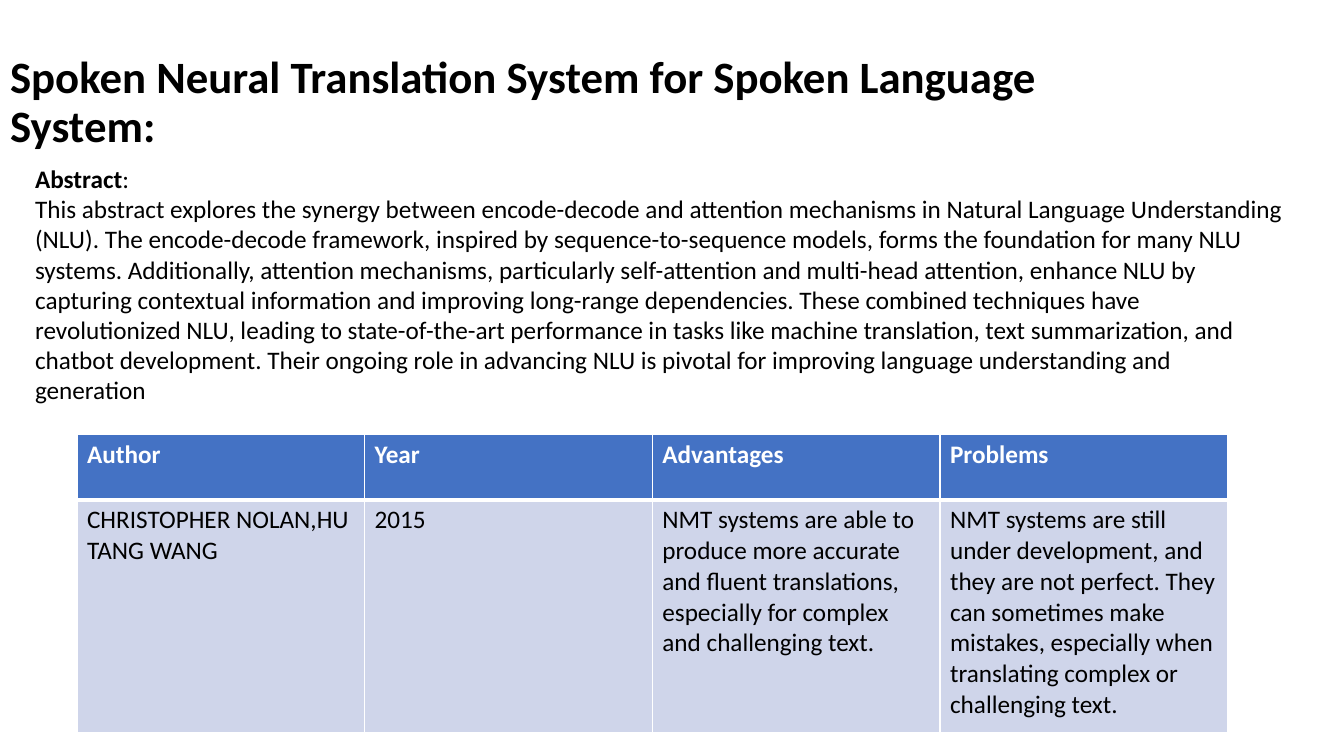
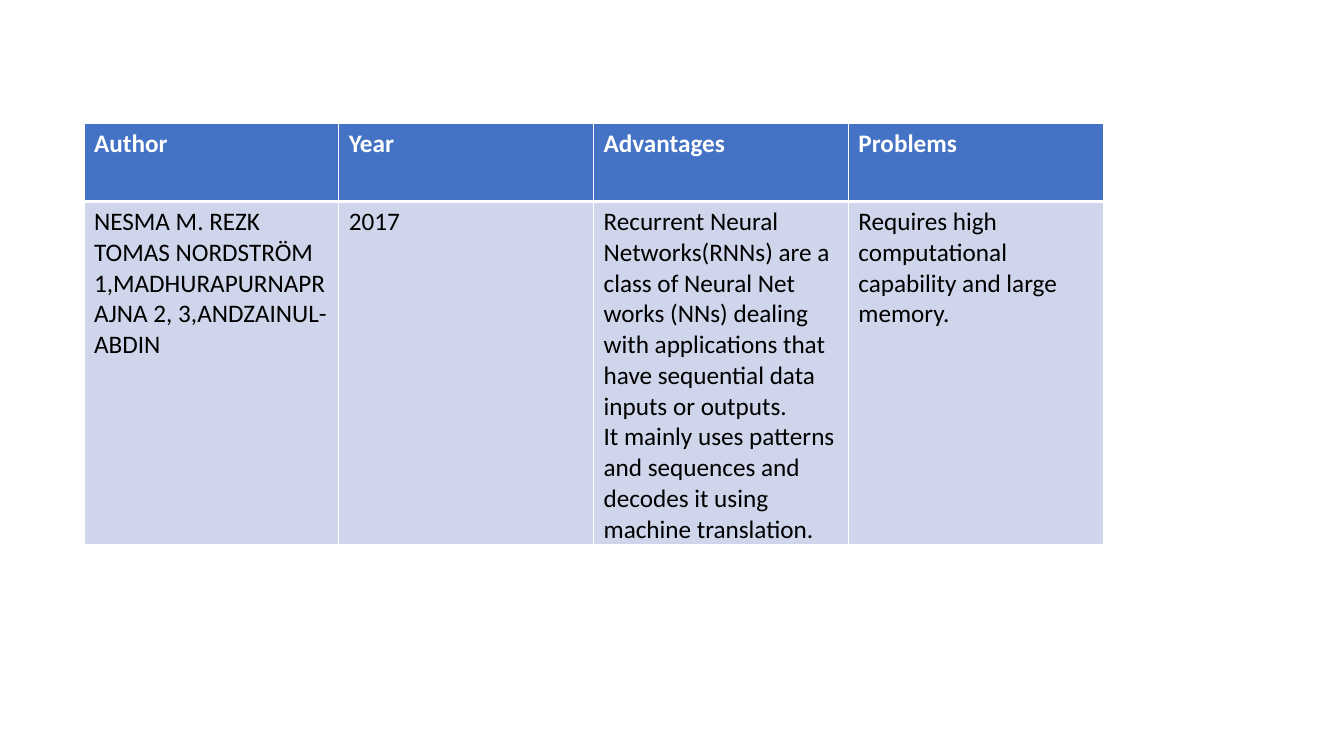
from dataclasses import dataclass

import pptx
import pptx.dml.color
import pptx.enum.text
import pptx.oxml
import pptx.oxml.ns
import pptx.util

Pt = pptx.util.Pt
TITLE_ONLY_LAYOUT, BLANK_LAYOUT = 5, 6


@dataclass(frozen=True)
class Theme:
    font: str = "Calibri"
    title_size: int = 32
    body_size: int = 18
    text: str = "000000"
    light: str = "FFFFFF"
    header_fill: str = "4472C4"
    body_fill: str = "CFD5EA"
    thin_border: int = 1
    thick_border: int = 3


THEME = Theme()


def add_text(paragraph, text, size=THEME.body_size, color=THEME.text, bold=False):
    run = paragraph.add_run()
    run.text = text
    run.font.name = THEME.font
    run.font.size = Pt(size)
    run.font.bold = bold
    run.font.color.rgb = pptx.dml.color.RGBColor.from_string(color)


def set_border(cell, side, width):
    """Draw one side (L, R, T or B) of a cell; call before filling the cell."""
    cell._tc.get_or_add_tcPr().append(pptx.oxml.parse_xml(
        f'<a:ln{side} {pptx.oxml.ns.nsdecls("a")} w="{Pt(width)}"><a:solidFill>'
        f'<a:srgbClr val="{THEME.light}"/></a:solidFill></a:ln{side}>'))


class Deck:
    """Holds the presentation and the slide being built."""

    def __init__(self, width, height):
        self.presentation = pptx.Presentation()
        self.presentation.slide_width = Pt(width)
        self.presentation.slide_height = Pt(height)
        self.slide = None

    def new_slide(self, layout):
        self.slide = self.presentation.slides.add_slide(
            self.presentation.slide_layouts[layout])

    def title(self, text, left, top, width, height):
        title = self.slide.shapes.title
        title.left, title.top = Pt(left), Pt(top)
        title.width, title.height = Pt(width), Pt(height)
        title.text_frame.vertical_anchor = pptx.enum.text.MSO_ANCHOR.MIDDLE
        paragraph = title.text_frame.paragraphs[0]
        paragraph.alignment = pptx.enum.text.PP_ALIGN.LEFT
        paragraph.line_spacing = 0.9
        add_text(paragraph, text, size=THEME.title_size, bold=True)

    def headed_text(self, heading, text, left, top, width, height):
        """Add a text box with a bold heading and a colon above its text."""
        box = self.slide.shapes.add_textbox(Pt(left), Pt(top), Pt(width), Pt(height))
        frame = box.text_frame
        frame.word_wrap = True
        add_text(frame.paragraphs[0], heading, bold=True)
        add_text(frame.paragraphs[0], ":")
        add_text(frame.add_paragraph(), text)

    def table(self, rows, left, top, column_width, row_heights):
        """Add a table of equal columns whose first row is the header."""
        columns = len(rows[0])
        table = self.slide.shapes.add_table(
            len(rows), columns, Pt(left), Pt(top),
            Pt(column_width * columns), Pt(sum(row_heights))).table
        for column in table.columns:
            column.width = Pt(column_width)
        for index, (texts, height) in enumerate(zip(rows, row_heights)):
            table.rows[index].height = Pt(height)
            for column, text in enumerate(texts):
                self.fill_cell(table.cell(index, column), text, index)

    def fill_cell(self, cell, text, row):
        is_header = row == 0
        widths = {"L": THEME.thin_border, "R": THEME.thin_border,
                  "T": THEME.thick_border if row == 1 else THEME.thin_border,
                  "B": THEME.thick_border if is_header else THEME.thin_border}
        for side, width in widths.items():
            set_border(cell, side, width)
        cell.fill.solid()
        cell.fill.fore_color.rgb = pptx.dml.color.RGBColor.from_string(
            THEME.header_fill if is_header else THEME.body_fill)
        frame = cell.text_frame
        for number, line in enumerate(text.split("\n")):
            paragraph = frame.add_paragraph() if number else frame.paragraphs[0]
            add_text(paragraph, line, bold=is_header,
                     color=THEME.light if is_header else THEME.text)


HEADER = ("Author", "Year", "Advantages", "Problems")

ABSTRACT = (
    "This abstract explores the synergy between encode-decode and attention mechanisms "
    "in Natural Language Understanding (NLU). The encode-decode framework, inspired by "
    "sequence-to-sequence models, forms the foundation for many NLU systems. "
    "Additionally, attention mechanisms, particularly self-attention and multi-head "
    "attention, enhance NLU by capturing contextual information and improving long-range "
    "dependencies. These combined techniques have revolutionized NLU, leading to "
    "state-of-the-art performance in tasks like machine translation, text summarization, "
    "and chatbot development. Their ongoing role in advancing NLU is pivotal for "
    "improving language understanding and generation")

TRANSLATION_PAPER = (
    "CHRISTOPHER NOLAN,HU TANG WANG",
    "2015",
    "NMT systems are able to produce more accurate and fluent translations, "
    "especially for complex and challenging text.",
    "NMT systems are still under development, and they are not perfect. They can "
    "sometimes make mistakes, especially when translating complex or challenging text.")

RECURRENT_PAPER = (
    "NESMA M. REZK TOMAS NORDSTRÖM 1,MADHURAPURNAPRAJNA 2, 3,ANDZAINUL-ABDIN",
    "2017",
    "Recurrent Neural Networks(RNNs) are a class of Neural Net works (NNs) dealing with "
    "applications that have sequential data inputs or outputs.\n"
    "It mainly uses patterns and sequences and decodes it using machine translation.",
    "Requires high computational capability and large memory.")


def main():
    deck = Deck(960, 540)

    deck.new_slide(TITLE_ONLY_LAYOUT)
    deck.title("Spoken Neural Translation System for Spoken Language System:",
               left=0, top=21.6, width=828, height=104.4)
    deck.headed_text("Abstract", ABSTRACT, left=18, top=113, width=906, height=183)
    deck.table((HEADER, TRANSLATION_PAPER), left=55, top=310.5,
               column_width=205.5, row_heights=(46.5, 166.5))

    deck.new_slide(BLANK_LAYOUT)
    deck.table((HEADER, RECURRENT_PAPER), left=60, top=88,
               column_width=182, row_heights=(56, 244))

    deck.presentation.save("out.pptx")


if __name__ == "__main__":
    main()
